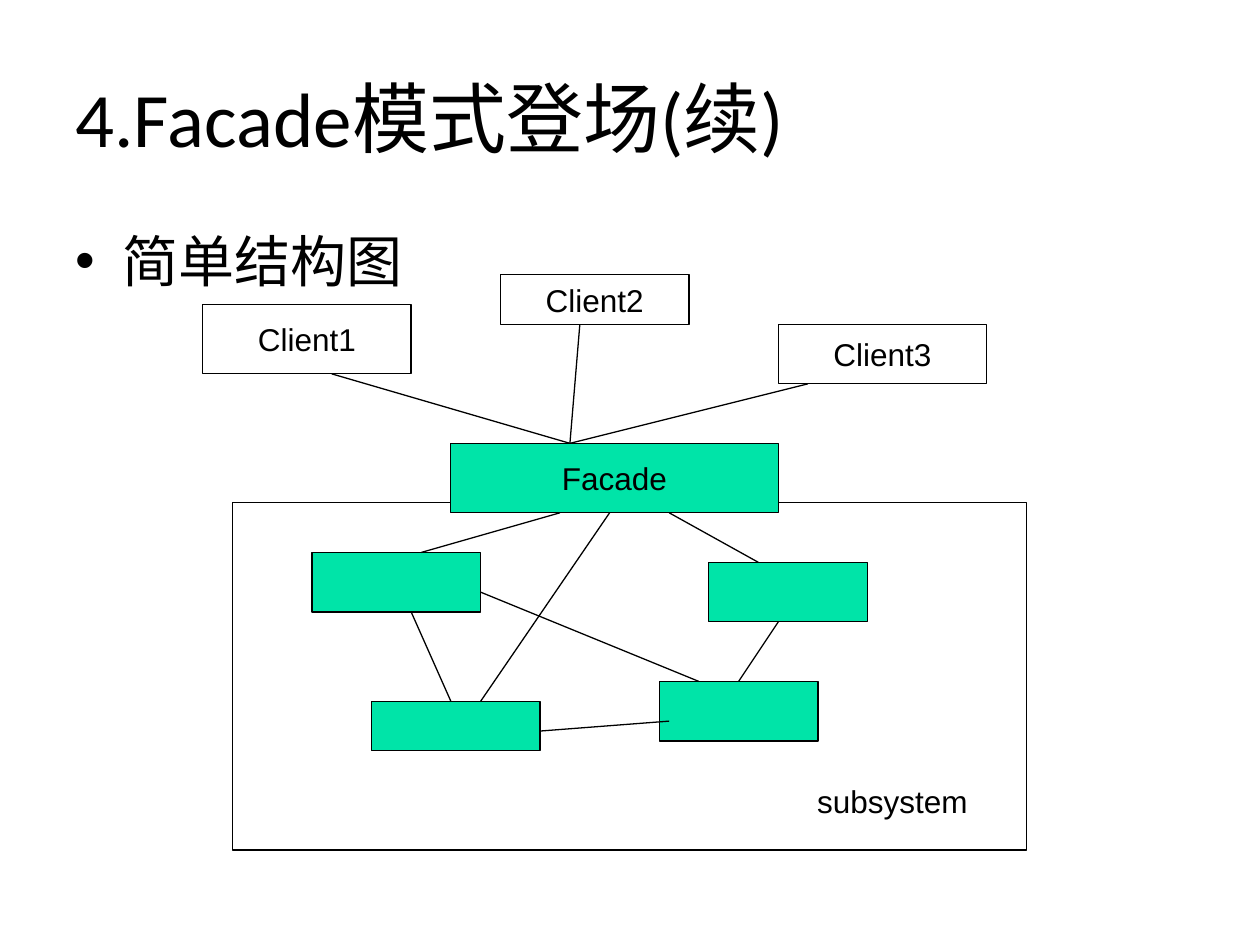
from lxml.etree import SubElement
from pptx import Presentation
from pptx.dml.color import RGBColor
from pptx.enum.shapes import MSO_CONNECTOR, MSO_SHAPE
from pptx.enum.text import MSO_ANCHOR, PP_ALIGN
from pptx.oxml.ns import qn
from pptx.util import Cm, Inches, Pt

BLACK = RGBColor(0x00, 0x00, 0x00)
WHITE = RGBColor(0xFF, 0xFF, 0xFF)
GREEN = RGBColor(0x00, 0xE4, 0xA8)

TITLE = "4.Facade模式登场(续)"
BULLET = "简单结构图"

# The diagram lies on a square grid; places and sizes are in grid cells.
CELL = Cm(0.2)
GRID_LEFT, GRID_TOP = Inches(1.61), Inches(2.18)

# label, (column, row, columns wide, rows high), fill, outlined
BOXES = [
    ("", (3, 23, 80, 35), WHITE, True),
    ("", (11, 28, 17, 6), GREEN, True),
    ("", (51, 29, 16, 6), GREEN, True),
    ("", (17, 43, 17, 5), GREEN, True),
    ("", (46, 41, 16, 6), GREEN, True),
    ("Facade", (25, 17, 33, 7), GREEN, True),
    ("Client2", (30, 0, 19, 5), WHITE, True),
    ("Client1", (0, 3, 21, 7), WHITE, True),
    ("Client3", (58, 5, 21, 6), WHITE, True),
    ("subsystem", (59, 50, 21, 6), WHITE, False),
]

FACADE_ENTRY = (37, 17)
LINKS = [
    ((21, 34), (25, 43)),
    ((36, 24), (22, 28)),
    ((47, 24), (56, 29)),
    ((58, 35), (54, 41)),
    ((34, 46), (47, 45)),
    ((28, 32), (50, 41)),
    ((41, 24), (28, 43)),
    ((13, 10), FACADE_ENTRY),
    ((38, 5), FACADE_ENTRY),
    ((61, 11), FACADE_ENTRY),
]


def grid_point(column, row):
    return GRID_LEFT + column * CELL, GRID_TOP + row * CELL


def set_font(paragraph, name, size):
    for run in paragraph.runs:
        run.font.name = name
        run.font.size = Pt(size)
        run.font.color.rgb = BLACK


def fill_placeholder(placeholder, text, size, top, height):
    placeholder.left, placeholder.top = Inches(0.5), Inches(top)
    placeholder.width, placeholder.height = Inches(9), Inches(height)
    placeholder.text_frame.text = text
    paragraph = placeholder.text_frame.paragraphs[0]
    paragraph.alignment = PP_ALIGN.LEFT
    set_font(paragraph, "Calibri", size)


def add_box(slide, label, place, fill, outlined):
    column, row, columns, rows = place
    shape = slide.shapes.add_shape(
        MSO_SHAPE.RECTANGLE, *grid_point(column, row), columns * CELL, rows * CELL)
    shape.shadow.inherit = False
    shape.fill.solid()
    shape.fill.fore_color.rgb = fill
    if outlined:
        shape.line.color.rgb = BLACK
        shape.line.width = Pt(0.75)
    else:
        shape.line.fill.background()
    if label:
        text_frame = shape.text_frame
        text_frame.text = label
        text_frame.word_wrap = False
        text_frame.vertical_anchor = MSO_ANCHOR.MIDDLE
        text_frame.paragraphs[0].alignment = PP_ALIGN.CENTER
        set_font(text_frame.paragraphs[0], "Arial", 18)


def add_link(slide, start, end):
    connector = slide.shapes.add_connector(
        MSO_CONNECTOR.STRAIGHT, *grid_point(*start), *grid_point(*end))
    connector.line.color.rgb = BLACK
    connector.line.width = Pt(0.75)
    SubElement(connector._element.spPr, qn("a:effectLst"))


def main():
    presentation = Presentation()
    presentation.slide_width, presentation.slide_height = Inches(10), Inches(7.5)
    slide = presentation.slides.add_slide(presentation.slide_layouts[1])
    fill_placeholder(slide.shapes.title, TITLE, 44, top=0.3, height=1.25)
    fill_placeholder(slide.placeholders[1], BULLET, 32, top=1.75, height=4.95)
    for box in BOXES:
        add_box(slide, *box)
    for start, end in LINKS:
        add_link(slide, start, end)
    presentation.save("out.pptx")


if __name__ == "__main__":
    main()
